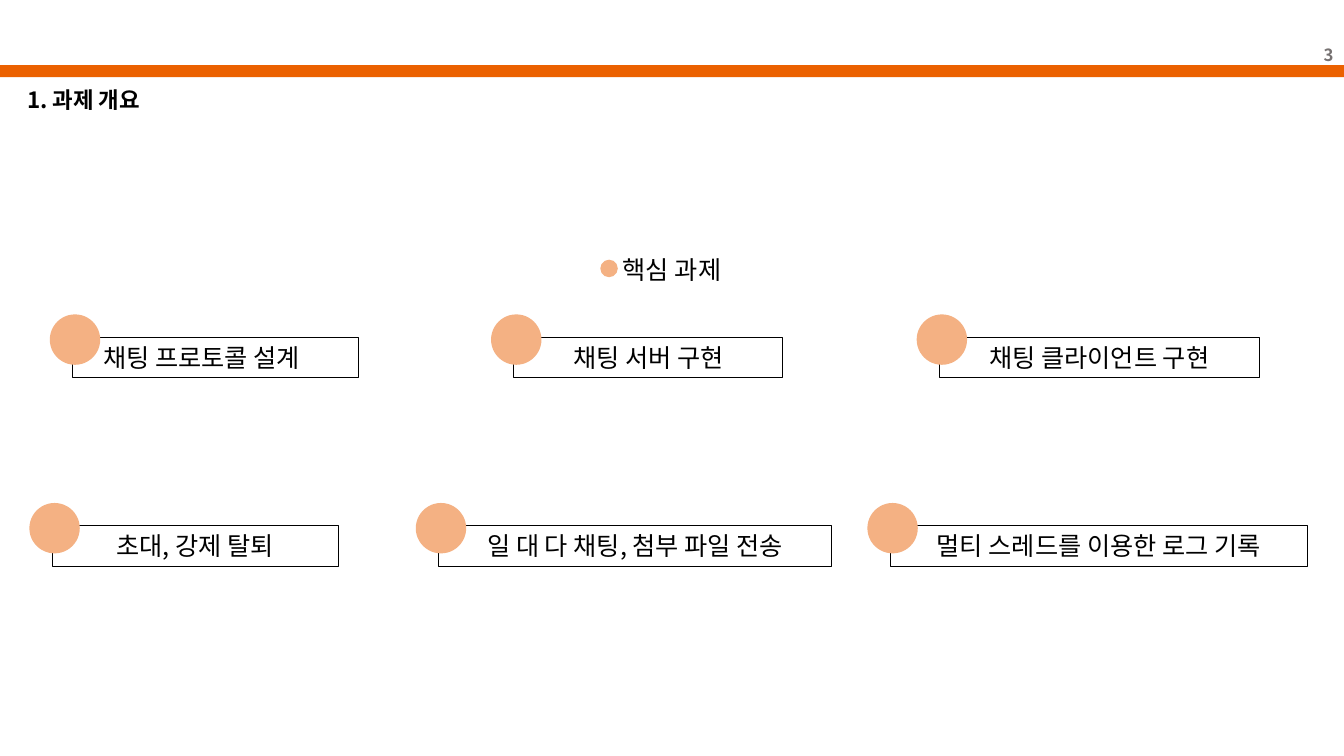
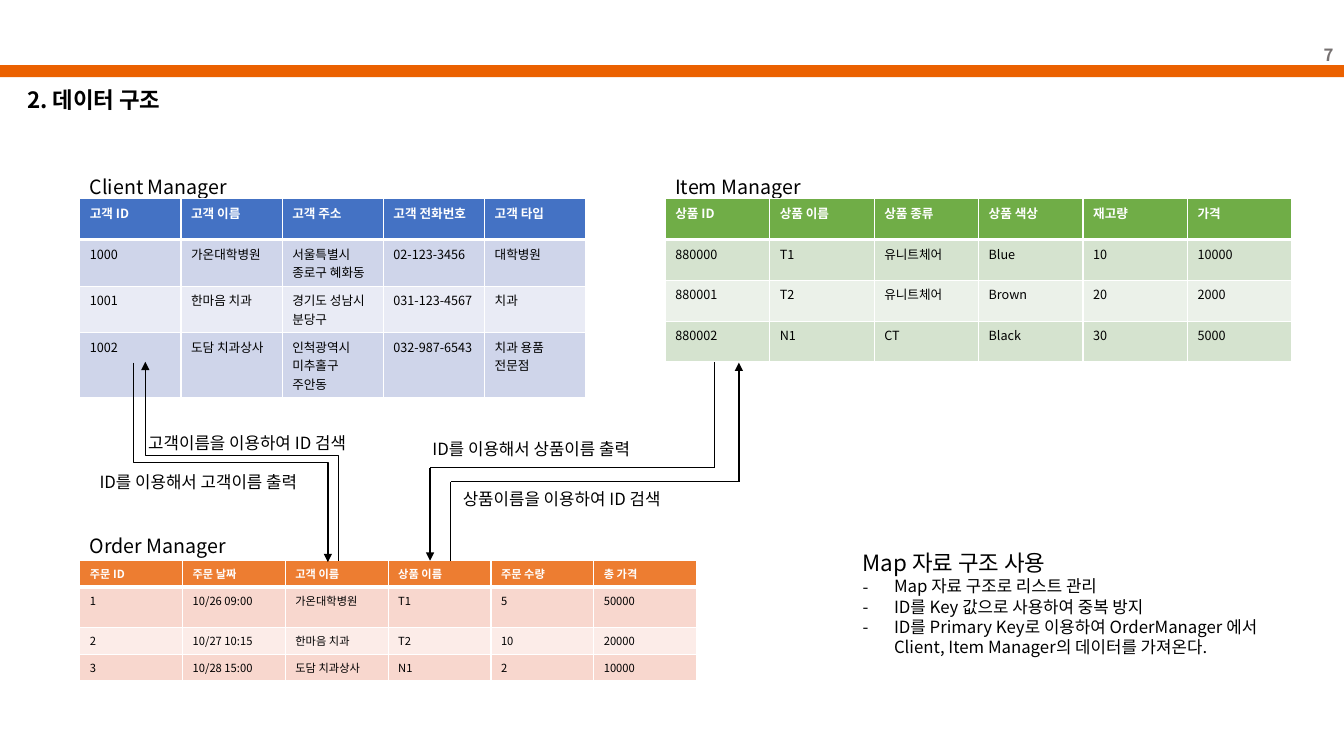
from dataclasses import dataclass

from lxml import etree
from pptx import Presentation
from pptx.dml.color import RGBColor
from pptx.enum import shapes as kinds, text as modes
from pptx.oxml import ns
from pptx.util import Pt

SHAPE, LINK = kinds.MSO_SHAPE, kinds.MSO_CONNECTOR
ALIGN, ANCHOR = modes.PP_ALIGN, modes.MSO_ANCHOR


@dataclass(frozen=True)
class Theme:
    """Colours and type sizes of the deck."""

    font: str = "Noto Sans CJK KR"
    ink: str = "000000"
    white: str = "FFFFFF"
    gray: str = "767171"
    band: str = "EB6100"
    dot: str = "F4B183"
    blue: tuple = ("4472C4", "CFD5EA", "E9EBF5")
    green: tuple = ("70AD47", "D5E3CF", "EBF1E9")
    orange: tuple = ("ED7D31", "F8D7CE", "FCECE8")
    head: int = 16
    task: int = 18
    name: int = 14
    note: int = 12
    cell: int = 9
    small: int = 8


T = Theme()

CLIENTS = [
    ["고객 ID", "고객 이름", "고객 주소", "고객 전화번호", "고객 타입"],
    ["1000", "가온대학병원", "서울특별시\n종로구 혜화동", "02-123-3456", "대학병원"],
    ["1001", "한마음 치과", "경기도 성남시 분당구", "031-123-4567", "치과"],
    ["1002", "도담 치과상사", "인척광역시 미추홀구 주안동", "032-987-6543", "치과 용품 전문점"],
]
ITEMS = [
    ["상품 ID", "상품 이름", "상품 종류", "상품 색상", "재고량", "가격"],
    ["880000", "T1", "유니트체어", "Blue", "10", "10000"],
    ["880001", "T2", "유니트체어", "Brown", "20", "2000"],
    ["880002", "N1", "CT", "Black", "30", "5000"],
]
ORDERS = [
    ["주문 ID", "주문 날짜", "고객 이름", "상품 이름", "주문 수량", "총 가격"],
    ["1", "10/26 09:00", "가온대학병원", "T1", "5", "50000"],
    ["2", "10/27 10:15", "한마음 치과", "T2", "10", "20000"],
    ["3", "10/28 15:00", "도담 치과상사", "N1", "2", "10000"],
]


def pts(*nums):
    """Turn numbers into lengths in points."""
    return [Pt(n) for n in nums]


def rgb(code):
    """Turn a hex code into a colour."""
    return RGBColor.from_string(code)


def node(parent, tag, **attrs):
    """Append a DrawingML element."""
    return etree.SubElement(parent, ns.qn("a:" + tag), **attrs)


def style(para, size, color=T.ink, bold=False, align=ALIGN.LEFT):
    """Set the type of one paragraph."""
    para.alignment = align
    font = para.font
    font.name, font.size, font.bold = T.font, Pt(size), bold
    font.color.rgb = rgb(color)
    node(para._p.pPr.find(ns.qn("a:defRPr")), "ea", typeface=T.font)


def write(frame, words, size, anchor=ANCHOR.TOP, **look):
    """Fill a text frame with evenly styled paragraphs."""
    frame.text = words
    frame.word_wrap = True
    frame.vertical_anchor = anchor
    for para in frame.paragraphs:
        style(para, size, **look)


def label(slide, box, words, size, **look):
    """Place a text box."""
    area = slide.shapes.add_textbox(*pts(*box))
    write(area.text_frame, words, size, **look)
    return area.text_frame


def solid(slide, kind, box, color):
    """Place a plain filled shape."""
    shape = slide.shapes.add_shape(kind, *pts(*box))
    shape.shadow.inherit = False
    shape.fill.solid()
    shape.fill.fore_color.rgb = rgb(color)
    shape.line.fill.background()
    return shape


def page(deck, title, num):
    """Add a slide with its title and page number."""
    slide = deck.slides.add_slide(deck.slide_layouts[5])
    head = slide.shapes.title
    head.left, head.top, head.width, head.height = pts(12.2, 57, 255.6, 28.8)
    write(head.text_frame, title, T.head, ANCHOR.MIDDLE, bold=True)
    head.text_frame.auto_size = modes.MSO_AUTO_SIZE.NONE
    label(slide, (911.5, 25, 48.2, 28.8), num, T.note, anchor=ANCHOR.MIDDLE,
          color=T.gray, bold=True, align=ALIGN.RIGHT)
    return slide


def brand(slide):
    """Put the orange band on the layout that the slides share."""
    band = solid(slide, SHAPE.RECTANGLE, (0, 46.6, 960, 8.6), T.band)
    slide.slide_layout.shapes.element.append(band.element)


def task(slide, x, y, wide, words, inset=None):
    """Place a framed task with a dot on its corner."""
    box = slide.shapes.add_shape(SHAPE.RECTANGLE, *pts(x, y, wide, 29))
    box.shadow.inherit = False
    box.fill.background()
    box.line.color.rgb, box.line.width = rgb(T.ink), Pt(0.75)
    write(box.text_frame, words, T.task, align=ALIGN.LEFT if inset else ALIGN.CENTER)
    if inset:
        box.text_frame.margin_left = Pt(inset)
    solid(slide, SHAPE.OVAL, (x - 16.2, y - 16.2, 36, 36), T.dot)


def goals(deck):
    """Build the overview of core tasks."""
    slide = page(deck, "1. 과제 개요", "3")
    brand(slide)
    for x, y, wide, words, inset in (
        (51.8, 240.8, 204.5, "채팅 프로토콜 설계", 22),
        (367, 240.8, 192, "채팅 서버 구현", None),
        (671, 240.8, 228.5, "채팅 클라이언트 구현", None),
        (37.2, 375.5, 204.5, "초대, 강제 탈퇴", None),
        (313.2, 375.5, 281, "일 대 다 채팅, 첨부 파일 전송", None),
        (635.8, 375.5, 298, "멀티 스레드를 이용한 로그 기록", None),
    ):
        task(slide, x, y, wide, words, inset)
    label(slide, (0, 178.2, 960, 29), "핵심 과제", T.task, align=ALIGN.CENTER)
    solid(slide, SHAPE.OVAL, (428.8, 185.5, 12.5, 12.5), T.dot)


def rule(cell, width):
    """Draw a white border under a cell."""
    props = cell._tc.get_or_add_tcPr()
    edge = etree.Element(ns.qn("a:lnB"), w=str(Pt(width)))
    node(node(edge, "solidFill"), "srgbClr", val=T.white)
    props.insert(0, edge)


def grid(slide, x, y, wide, name, data, tones, size, highs, gap=20.5):
    """Place a named table with a dark head and striped rows."""
    cols = len(data[0])
    label(slide, (x, y - gap, 181, 24.5), name, T.name)
    table = slide.shapes.add_table(len(data), cols, *pts(x, y, wide, sum(highs))).table
    for col in table.columns:
        col.width = Pt(wide / cols)
    for r, (row, high) in enumerate(zip(data, highs)):
        table.rows[r].height = Pt(high)
        tone = tones[0] if r == 0 else tones[2 - r % 2]
        for c, words in enumerate(row):
            cell = table.cell(r, c)
            cell.fill.solid()
            cell.fill.fore_color.rgb = rgb(tone)
            rule(cell, 1 if r else 3)
            write(cell.text_frame, words, size, color=T.ink if r else T.white, bold=r == 0)


def wire(slide, kind, start, end, arrow=False):
    """Draw a thin black connector."""
    line = slide.shapes.add_connector(kind, *pts(*start, *end))
    line.line.color.rgb, line.line.width = rgb(T.ink), Pt(1)
    node(line.element.spPr, "effectLst")
    if arrow:
        node(line.line._get_or_add_ln(), "tailEnd", type="triangle")
    return line


def route(slide, *stops):
    """Chain straight lines and end in an arrowhead."""
    last = len(stops) - 2
    for i, (start, end) in enumerate(zip(stops, stops[1:])):
        wire(slide, LINK.STRAIGHT, start, end, i == last)


def elbow(slide, start, end, bend):
    """Draw an elbow arrow that leaves and arrives vertically."""
    (ax, ay), (bx, by) = start, end
    mx, my, dx, dy = (ax + bx) / 2, (ay + by) / 2, (bx - ax) / 2, (by - ay) / 2
    line = wire(slide, LINK.ELBOW, (mx + dy, my - dx), (mx - dy, my + dx), True)
    props = line.element.spPr
    props.find(ns.qn("a:xfrm")).set("rot", "16200000")
    marks = props.find(ns.qn("a:prstGeom")).find(ns.qn("a:avLst"))
    node(marks, "gd", name="adj1", fmla=f"val {round(bend * 100000)}")


def notes(slide, box, head, points):
    """Place a heading over dashed points."""
    frame = label(slide, box, head, T.head)
    for words in points:
        para = frame.add_paragraph()
        para.text = words
        style(para, T.note)
        props = para._p.pPr
        props.set("marL", str(Pt(22.5)))
        props.set("indent", str(Pt(-22.5)))
        props.insert(0, etree.Element(ns.qn("a:buFont"), typeface=T.font))
        props.insert(1, etree.Element(ns.qn("a:buChar"), char="-"))


def data(deck):
    """Build the slide of linked tables."""
    slide = page(deck, "2. 데이터 구조", "7")
    grid(slide, 57, 141.8, 361.5, "Client Manager", CLIENTS, T.blue, T.cell,
         [29.2, 33.4, 33.4, 46.2])
    grid(slide, 475.2, 141.8, 447.8, "Item Manager", ITEMS, T.green, T.cell, [29.2] * 4)
    grid(slide, 57, 400.5, 440.6, "Order Manager", ORDERS, T.orange, T.small,
         [18.9, 29, 18.9, 18.9], 23)
    elbow(slide, (95.5, 259), (234.2, 401.5), 0.5)
    elbow(slide, (242, 400.5), (103.8, 258.5), 0.53)
    route(slide, (510.5, 258.5), (510.5, 334), (307.2, 334), (307.2, 400.5))
    route(slide, (321.8, 400.5), (321.8, 344), (527.8, 344), (527.8, 259))
    for x, y, words in (
        (64, 333.5, "ID를 이용해서 고객이름 출력"),
        (98.8, 305.5, "고객이름을 이용하여 ID 검색"),
        (301.8, 309.6, "ID를 이용해서 상품이름 출력"),
        (323.5, 345.6, "상품이름을 이용하여 ID 검색"),
    ):
        label(slide, (x, y, 173.5, 21.8), words, T.note)
    notes(slide, (609, 388.8, 330.5, 101.5), "Map 자료 구조 사용", (
        "Map 자료 구조로 리스트 관리",
        "ID를 Key 값으로 사용하여 중복 방지",
        "ID를 Primary Key로 이용하여 OrderManager 에서 "
        "Client, Item Manager의 데이터를 가져온다.",
    ))


def main():
    """Build and save the deck."""
    deck = Presentation()
    deck.slide_width, deck.slide_height = pts(960, 540)
    goals(deck)
    data(deck)
    deck.save("out.pptx")


if __name__ == "__main__":
    main()
